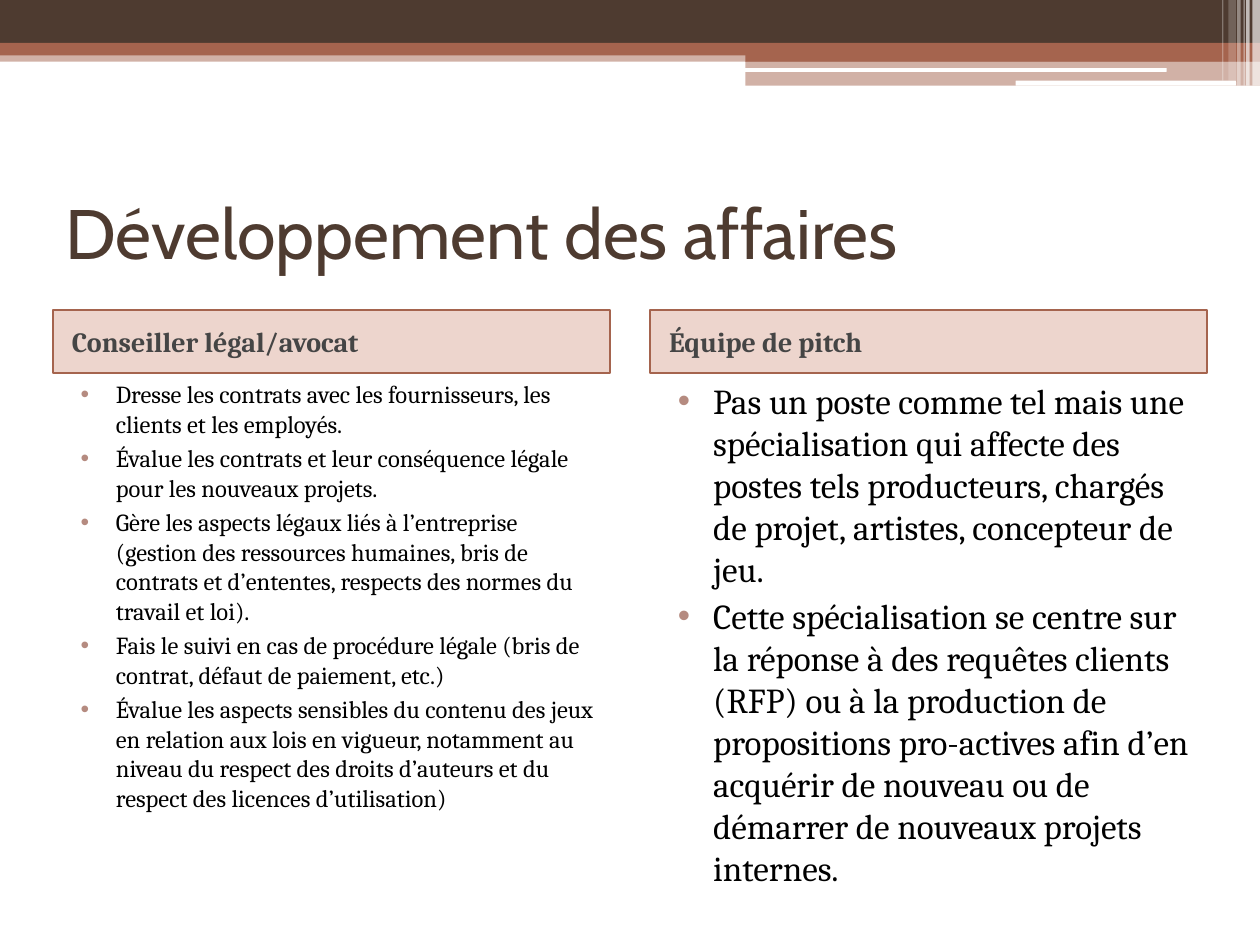
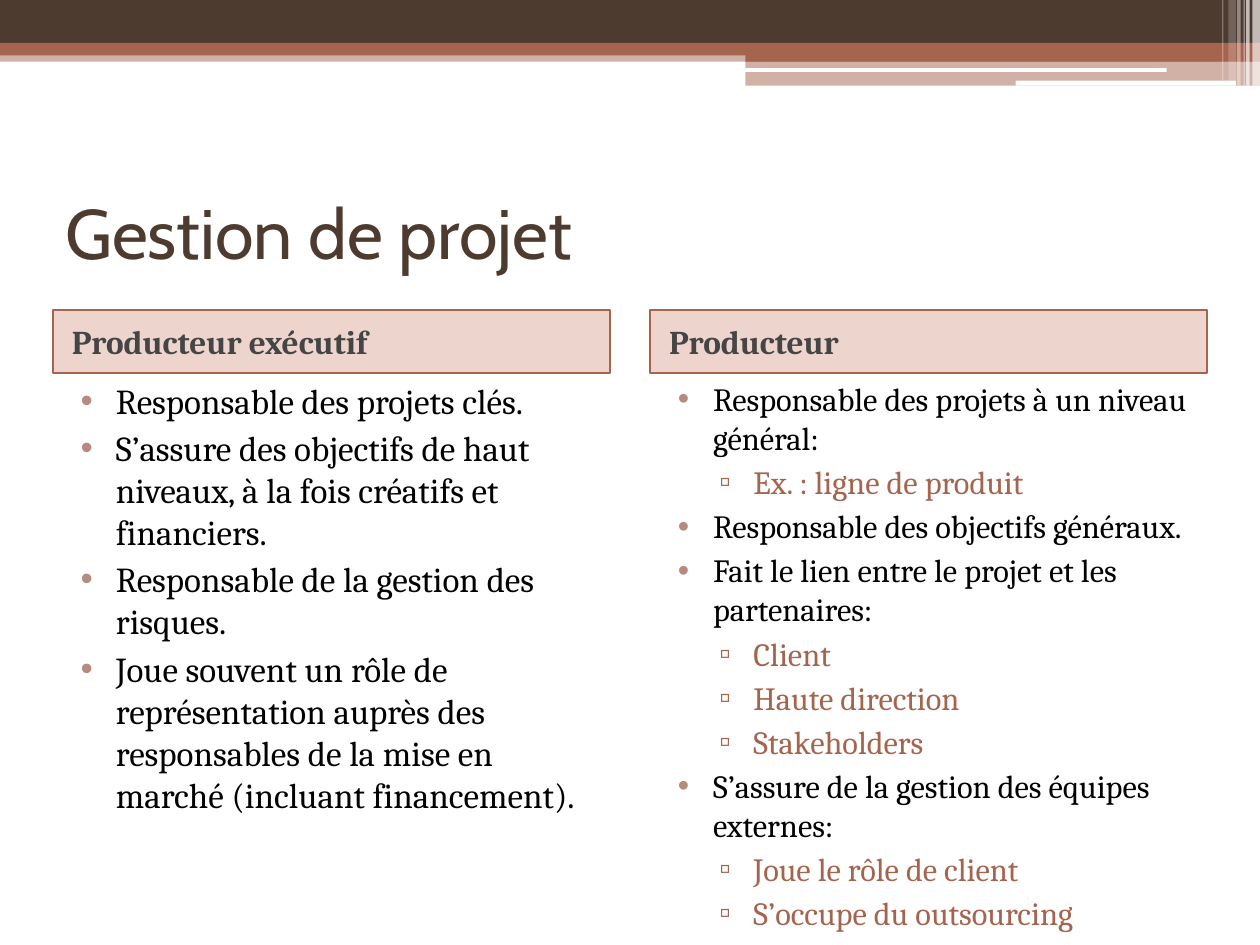
from lxml import etree
from pptx import Presentation
from pptx.dml import color
from pptx.enum import shapes, text
from pptx.oxml import ns
from pptx.util import Pt

COLORS = {
    "brown": "4E3B30", "rust": "A5644E", "white": "FFFFFF", "black": "000000",
    "heading_fill": "BB5938", "heading_text": "454545", "bullet": "B58B80",
}
TITLE_FONT, BODY_FONT = "Cabin", "Cambria"
SLIDE_BOX = (0, 0, 720, 540)
TITLE_BOX = (30.24, 90, 660.24, 84.24)
COLUMNS_BOX = (30.24, 177.12, 659.52, 342)
COLUMN_GAP, HEADING_HEIGHT = 23.04, 36

# Per list level: bullet, bullet colour, text colour, indent, hanging indent
LEVELS = [
    ("•", "bullet", "black", 28.8, -20.16),
    ("▫", "rust", "rust", 51.84, -19.44),
]

# Left, top, width, height, colour, opacity in percent
BANDS = [
    (0, 28.8, 720, 6.48, "rust", 50),
    (0, 0, 720, 24.48, "brown", 100),
    (0, 24.48, 720, 7.2, "rust", 100),
    (426, 28.08, 294, 7.2, "rust", 100),
    (426, 34.9, 294, 14.1, "rust", 50),
]
ROUNDED_LINES = [
    (425.5, 38.9, 241.2, 2.2, "white", 100),
    (580.3, 46.1, 126, 2.9, "white", 100),
]
# Left, width, height, opacity of the white stripes at the right edge
STRIPES = [
    (715.7, 4.3, 49, 65), (712.1, 2, 49, 65), (710.6, 0.72, 49, 60),
    (707, 2, 49, 40), (702, 4.3, 46.1, 20), (698.4, 0.72, 46.1, 30),
]

SLIDES = [
    ("Développement des affaires", 16, [
        ("Conseiller légal/avocat", 14, [
            (0, "Dresse les contrats avec les fournisseurs, les clients et les employés."),
            (0, "Évalue les contrats et leur conséquence légale pour les nouveaux projets."),
            (0, "Gère les aspects légaux liés à l’entreprise (gestion des ressources humaines, "
                "bris de contrats et d’ententes, respects des normes du travail et loi)."),
            (0, "Fais le suivi en cas de procédure légale (bris de contrat, défaut de "
                "paiement, etc.)"),
            (0, "Évalue les aspects sensibles du contenu des jeux en relation aux lois en "
                "vigueur, notamment au niveau du respect des droits d’auteurs et du respect "
                "des licences d’utilisation)"),
        ]),
        ("Équipe de pitch", 20, [
            (0, "Pas un poste comme tel mais une spécialisation qui affecte des postes tels "
                "producteurs, chargés de projet, artistes, concepteur de jeu."),
            (0, "Cette spécialisation se centre sur la réponse à des requêtes clients (RFP) "
                "ou à la production de propositions pro-actives afin d’en acquérir de "
                "nouveau ou de démarrer de nouveaux projets internes."),
        ]),
    ]),
    ("Gestion de projet", 19, [
        ("Producteur exécutif", 20, [
            (0, "Responsable des projets clés."),
            (0, "S’assure des objectifs de haut niveaux, à la fois créatifs et financiers."),
            (0, "Responsable de la gestion des risques."),
            (0, "Joue souvent un rôle de représentation auprès des responsables de la mise "
                "en marché (incluant financement)."),
        ]),
        ("Producteur", 18.5, [
            (0, "Responsable des projets à un niveau général:"),
            (1, "Ex. : ligne de produit"),
            (0, "Responsable des objectifs généraux."),
            (0, "Fait le lien entre le projet et les partenaires:"),
            (1, "Client"),
            (1, "Haute direction"),
            (1, "Stakeholders"),
            (0, "S’assure de la gestion des équipes externes:"),
            (1, "Joue le rôle de client"),
            (1, "S’occupe du outsourcing"),
        ]),
    ]),
]


def rgb(name):
    return color.RGBColor.from_string(COLORS[name])


def set_fill(shape, name, opacity=100):
    shape.fill.solid()
    shape.fill.fore_color.rgb = rgb(name)
    if opacity < 100:
        tint = shape.element.spPr.find(".//" + ns.qn("a:srgbClr"))
        etree.SubElement(tint, ns.qn("a:alpha"), val=str(opacity * 1000))


def place(shape, box):
    shape.left, shape.top, shape.width, shape.height = (Pt(length) for length in box)


def style_font(paragraph, face, size, name, bold=False):
    font = paragraph.font
    font.name, font.size, font.bold = face, Pt(size), bold
    font.color.rgb = rgb(name)


def prepare_frame(placeholder, anchor):
    frame = placeholder.text_frame
    frame.word_wrap = True
    frame.auto_size = text.MSO_AUTO_SIZE.NONE
    frame.vertical_anchor = anchor
    return frame


def add_header_bands(slide, box):
    """Draw the header on the slide, then move it to the layout all slides share."""
    left, top = box[:2]
    kinds = shapes.MSO_SHAPE
    stripes = [(x, 0, width, height, "white", opacity)
               for x, width, height, opacity in STRIPES]
    parts = ([(kinds.RECTANGLE, band) for band in BANDS]
             + [(kinds.ROUNDED_RECTANGLE, line) for line in ROUNDED_LINES]
             + [(kinds.RECTANGLE, stripe) for stripe in stripes])
    for shape_id, (kind, (x, y, width, height, name, opacity)) in enumerate(parts, 100):
        band = slide.shapes.add_shape(kind, Pt(left + x), Pt(top + y), Pt(width), Pt(height))
        band.shadow.inherit = False
        band.line.fill.background()
        set_fill(band, name, opacity)
        band.element.nvSpPr.cNvPr.set("id", str(shape_id))
        slide.slide_layout.shapes.element.append(band.element)


def fill_title(title, box, wording):
    place(title, box)
    frame = prepare_frame(title, text.MSO_ANCHOR.MIDDLE)
    frame.text = wording
    frame.paragraphs[0].alignment = text.PP_ALIGN.LEFT
    style_font(frame.paragraphs[0], TITLE_FONT, 40, "brown")


def fill_heading(heading, box, wording, size):
    place(heading, box)
    set_fill(heading, "heading_fill", 25)
    heading.line.color.rgb = rgb("rust")
    heading.line.width = Pt(1)
    frame = prepare_frame(heading, text.MSO_ANCHOR.MIDDLE)
    frame.text = wording
    paragraph = frame.paragraphs[0]
    paragraph.space_before = Pt(0)
    paragraph._p.get_or_add_pPr().set("marL", str(Pt(3.6)))
    style_font(paragraph, BODY_FONT, size, "heading_text", bold=True)


def format_item(paragraph, level, size, space_before):
    bullet, bullet_color, text_color, margin, hanging = LEVELS[level]
    paragraph.level = level
    properties = paragraph._p.get_or_add_pPr()
    properties.set("marL", str(Pt(margin)))
    properties.set("indent", str(Pt(hanging)))
    tint = etree.SubElement(properties, ns.qn("a:buClr"))
    etree.SubElement(tint, ns.qn("a:srgbClr"), val=COLORS[bullet_color])
    etree.SubElement(properties, ns.qn("a:buChar"), char=bullet)
    paragraph.space_before = Pt(space_before)
    style_font(paragraph, BODY_FONT, size, text_color)


def fill_list(body, box, items, size):
    place(body, box)
    frame = prepare_frame(body, text.MSO_ANCHOR.TOP)
    frame.text = "\n".join(wording for _, wording in items)
    for index, (paragraph, (level, _)) in enumerate(zip(frame.paragraphs, items)):
        format_item(paragraph, level, size, 3 if index else 0)


def fill_columns(slide, box, heading_size, columns):
    left, top, width, height = box
    column_width = (width - COLUMN_GAP * (len(columns) - 1)) / len(columns)
    for index, (heading, size, items) in enumerate(columns):
        x = left + index * (column_width + COLUMN_GAP)
        fill_heading(slide.placeholders[1 + 2 * index],
                     (x, top, column_width, HEADING_HEIGHT), heading, heading_size)
        fill_list(slide.placeholders[2 + 2 * index],
                  (x, top + HEADING_HEIGHT, column_width, height - HEADING_HEIGHT),
                  items, size)


def main():
    deck = Presentation()
    deck.slide_width, deck.slide_height = (Pt(length) for length in SLIDE_BOX[2:])
    comparison = deck.slide_layouts.get_by_name("Comparison")
    for title, heading_size, columns in SLIDES:
        slide = deck.slides.add_slide(comparison)
        fill_title(slide.shapes.title, TITLE_BOX, title)
        fill_columns(slide, COLUMNS_BOX, heading_size, columns)
    add_header_bands(deck.slides[0], SLIDE_BOX)
    deck.save("out.pptx")


if __name__ == "__main__":
    main()
